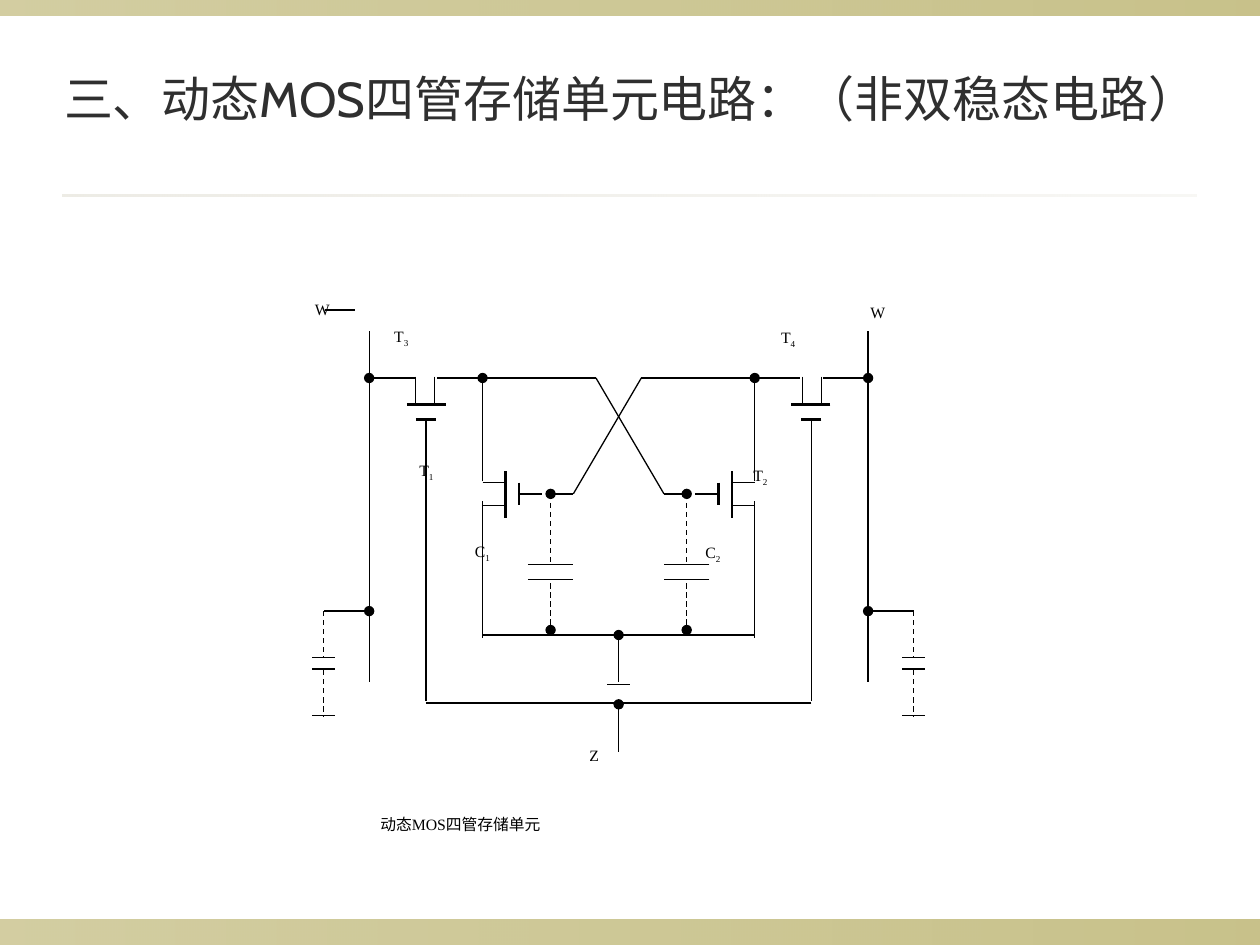
from dataclasses import dataclass, replace

from pptx import Presentation
from pptx.dml.color import RGBColor
from pptx.enum.dml import MSO_LINE
from pptx.enum.shapes import MSO_CONNECTOR, MSO_SHAPE
from pptx.enum.text import MSO_ANCHOR, PP_ALIGN
from pptx.oxml.ns import qn
from pptx.shapes.group import GroupShape
from pptx.slide import Slide
from pptx.util import Inches, Pt
from lxml.etree import SubElement

COLORS = {"band": "918415", "rule": "DCD9CC", "title": "2F2F2F", "ink": "000000"}
AXIS = 4.91  # the circuit is symmetric about this x
THIN, THICK = 0.75, 1.5


@dataclass(frozen=True)
class Band:
    left: float
    top: float
    width: float
    height: float
    color: str
    start_alpha: int
    end_alpha: int


@dataclass(frozen=True)
class Wire:
    x1: float
    y1: float
    x2: float
    y2: float
    weight: float = THIN
    dashed: bool = False
    dot: str = ""  # "headEnd" or "tailEnd"

    def mirrored(self) -> "Wire":
        return replace(self, x1=2 * AXIS - self.x1, x2=2 * AXIS - self.x2)


@dataclass(frozen=True)
class Label:
    left: float
    top: float
    text: str
    subscript: str = ""
    width: float = 0.71
    height: float = 0.46


BANDS = [
    Band(0, 7.3, 10, 0.2, "band", 40, 50),
    Band(0, 0, 10, 0.12, "band", 40, 50),
    Band(0.5, 1.54, 9, 0.02, "rule", 50, 20),
]

# Left half of the circuit; the right half is its mirror image
HALF_CIRCUIT = [
    # Storage transistor
    Wire(4.01, 3.74, 4.01, 4.11, THICK),
    Wire(4.12, 3.83, 4.12, 4.01, THICK),
    Wire(4.12, 3.92, 4.3, 3.92),
    Wire(3.83, 3.83, 4.01, 3.83),
    Wire(3.83, 4.01, 4.01, 4.01),
    # Access transistor
    Wire(3.23, 3.21, 3.54, 3.21, THICK),
    Wire(3.3, 3.33, 3.46, 3.33, THICK),
    Wire(3.38, 3.33, 3.38, 3.55),
    Wire(3.3, 2.99, 3.3, 3.21),
    Wire(3.45, 2.99, 3.45, 3.21),
    # Cross coupling
    Wire(3.83, 3.82, 3.83, 3),
    Wire(3.83, 3, 3.47, 3, dot="headEnd"),
    Wire(4.37, 3.92, 4.55, 3.92, dot="headEnd"),
    Wire(3.83, 3, 4.73, 3),
    Wire(4.55, 3.92, 5.09, 3),
    # Gate capacitor
    Wire(4.37, 3.92, 4.37, 4.48, dashed=True),
    Wire(4.19, 4.48, 4.55, 4.48),
    Wire(4.19, 4.6, 4.55, 4.6),
    Wire(4.37, 4.63, 4.37, 5, dashed=True, dot="tailEnd"),
    Wire(3.83, 3.98, 3.83, 5.06),
    Wire(3.83, 5.04, AXIS, 5.04),
    # Bit line and its capacitor
    Wire(3.29, 3, 2.93, 3, dot="tailEnd"),
    Wire(2.93, 2.63, 2.93, 5.41),
    Wire(2.93, 4.85, 2.57, 4.85, dot="headEnd"),
    Wire(2.57, 4.85, 2.57, 5.22, dashed=True),
    Wire(2.48, 5.22, 2.66, 5.22),
    Wire(2.48, 5.31, 2.66, 5.31),
    Wire(2.57, 5.32, 2.57, 5.69, dashed=True),
    Wire(2.48, 5.68, 2.66, 5.68),
    # Word line
    Wire(3.38, 3.52, 3.38, 5.56),
    Wire(3.38, 5.58, AXIS, 5.58),
]

CENTRE_WIRES = [
    Wire(AXIS, 5.04, AXIS, 5.41, dot="headEnd"),
    Wire(4.82, 5.43, 5, 5.43),
    Wire(AXIS, 5.59, AXIS, 5.97, dot="headEnd"),
    Wire(2.58, 2.46, 2.82, 2.46),  # bar of the complemented W
]

LABELS = [
    Label(2.4, 2.33, "W"),
    Label(6.81, 2.35, "W"),
    Label(3.03, 2.54, "T", "3", height=0.65),
    Label(6.1, 2.55, "T", "4", height=0.65),
    Label(3.23, 3.61, "T", "1", height=0.65),
    Label(5.88, 3.65, "T", "2", height=0.65),
    Label(3.67, 4.25, "C", "1", height=0.65),
    Label(5.5, 4.26, "C", "2", height=0.65),
    Label(4.58, 5.87, "Z"),
    Label(2.92, 6.42, "动态MOS四管存储单元", width=3.97, height=0.56),
]


def rgb(name: str) -> RGBColor:
    return RGBColor.from_string(COLORS[name])


def draw_band(slide: Slide, band: Band) -> None:
    bar = slide.shapes.add_shape(
        MSO_SHAPE.RECTANGLE, Inches(band.left), Inches(band.top),
        Inches(band.width), Inches(band.height))
    bar.shadow.inherit = False
    bar.line.fill.background()
    bar.fill.gradient()
    bar.fill.gradient_angle = 0
    for stop in bar.fill.gradient_stops:
        stop.color.rgb = rgb(band.color)
    stop_colors = bar._element.spPr.iter(qn("a:srgbClr"))
    for stop_color, alpha in zip(stop_colors, (band.start_alpha, band.end_alpha)):
        SubElement(stop_color, qn("a:alpha"), val=str(alpha * 1000))


def draw_wire(circuit: GroupShape, wire: Wire) -> None:
    line = circuit.shapes.add_connector(
        MSO_CONNECTOR.STRAIGHT, Inches(wire.x1), Inches(wire.y1),
        Inches(wire.x2), Inches(wire.y2))
    line.line.color.rgb = rgb("ink")
    line.line.width = Pt(wire.weight)
    if wire.dashed:
        line.line.dash_style = MSO_LINE.DASH
    properties = line._element.spPr
    if wire.dot:
        SubElement(properties.find(qn("a:ln")), qn(f"a:{wire.dot}"), type="oval")
    SubElement(properties, qn("a:effectLst"))


def draw_label(circuit: GroupShape, label: Label) -> None:
    box = circuit.shapes.add_textbox(
        Inches(label.left), Inches(label.top),
        Inches(label.width), Inches(label.height))
    box.text_frame.word_wrap = True
    paragraph = box.text_frame.paragraphs[0]
    paragraph.alignment = PP_ALIGN.JUSTIFY
    for text, baseline in ((label.text, 0), (label.subscript, -25)):
        if not text:
            continue
        run = paragraph.add_run()
        run.text = text
        run.font.name = "Times New Roman"
        run.font.size = Pt(9)
        run.font.color.rgb = rgb("ink")
        if baseline:
            run.font._element.set("baseline", str(baseline * 1000))


def draw_title(slide: Slide, text: str) -> None:
    title = slide.shapes.title
    title.left, title.top = Inches(0.2), Inches(0.3)
    title.width, title.height = Inches(9.61), Inches(0.96)
    title.text_frame.word_wrap = True
    title.text_frame.vertical_anchor = MSO_ANCHOR.MIDDLE
    paragraph = title.text_frame.paragraphs[0]
    paragraph.alignment = PP_ALIGN.CENTER
    run = paragraph.add_run()
    run.text = text
    run.font.name = "Cabin"
    run.font.size = Pt(28)
    run.font.color.rgb = rgb("title")


def main() -> None:
    deck = Presentation()
    deck.slide_width, deck.slide_height = Inches(10), Inches(7.5)
    slide = deck.slides.add_slide(deck.slide_layouts[5])
    for band in BANDS:
        draw_band(slide, band)
    draw_title(slide, "三、动态MOS四管存储单元电路：（非双稳态电路）")

    circuit = slide.shapes.add_group_shape()
    mirror_half = [wire.mirrored() for wire in HALF_CIRCUIT]
    for wire in HALF_CIRCUIT + mirror_half + CENTRE_WIRES:
        draw_wire(circuit, wire)
    for label in LABELS:
        draw_label(circuit, label)
    deck.save("out.pptx")


if __name__ == "__main__":
    main()
